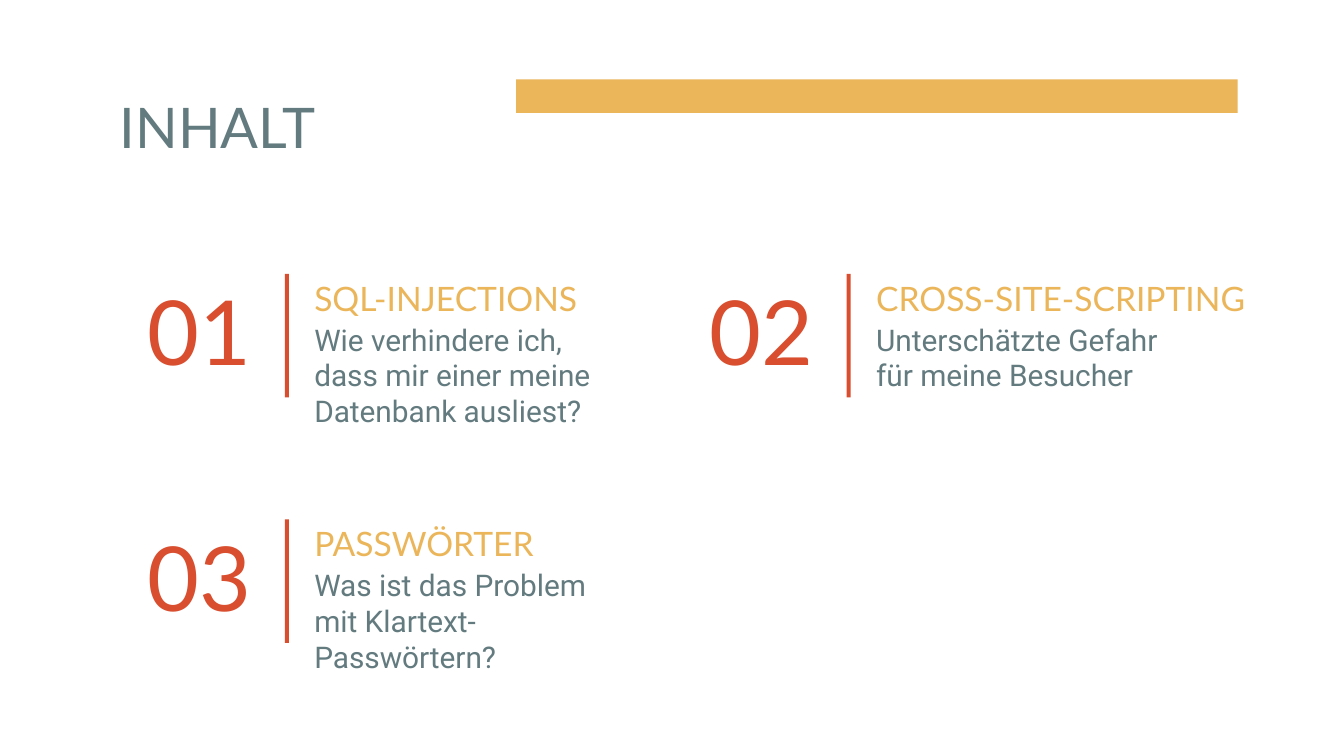
from dataclasses import dataclass

from pptx import Presentation
from pptx.dml.color import RGBColor
from pptx.enum.shapes import MSO_SHAPE
from pptx.enum.text import MSO_ANCHOR, MSO_AUTO_SIZE, PP_ALIGN
from pptx.util import Pt


@dataclass(frozen=True)
class Theme:
    slate: RGBColor = RGBColor(0x63, 0x7B, 0x7F)
    gold: RGBColor = RGBColor(0xEB, 0xB5, 0x5A)
    red: RGBColor = RGBColor(0xD8, 0x4E, 0x2E)
    display: str = "Lato"
    text: str = "Roboto"
    title_size: int = 30
    number_size: int = 48
    heading_size: int = 18
    body_size: int = 16
    inset: float = 7.2


THEME = Theme()

# Number, heading, heading width, body, grid column, grid row
TOPICS = [
    ("01", "SQL-INJECTIONS", 198.7,
     "Wie verhindere ich, dass mir einer meine Datenbank ausliest?", 0, 0),
    ("02", "CROSS-SITE-SCRIPTING", 213.1,
     "Unterschätzte Gefahr für meine Besucher", 1, 0),
    ("03", "PASSWÖRTER", 198.7,
     "Was ist das Problem mit Klartext-Passwörtern?", 0, 1),
]


def write(box, text, font, size, color, align=PP_ALIGN.LEFT,
          anchor=MSO_ANCHOR.TOP, space_after=0):
    frame = box.text_frame
    frame.word_wrap = True
    frame.auto_size = MSO_AUTO_SIZE.NONE
    frame.vertical_anchor = anchor
    frame.margin_left = frame.margin_right = Pt(THEME.inset)
    frame.margin_top = frame.margin_bottom = Pt(THEME.inset)
    para = frame.paragraphs[0]
    para.alignment = align
    para.line_spacing = 1.0
    para.space_before = Pt(0)
    para.space_after = Pt(space_after)
    span = para.add_run()
    span.text = text
    span.font.name = font
    span.font.size = Pt(size)
    span.font.color.rgb = color


def add_text(page, left, top, width, height, *style, **layout):
    box = page.shapes.add_textbox(Pt(left), Pt(top), Pt(width), Pt(height))
    write(box, *style, **layout)


def add_bar(page, left, top, width, height, color):
    bar = page.shapes.add_shape(
        MSO_SHAPE.RECTANGLE, Pt(left), Pt(top), Pt(width), Pt(height))
    bar.shadow.inherit = False
    bar.fill.solid()
    bar.fill.fore_color.rgb = color
    bar.line.fill.background()


def add_header(page, left, top):
    # Accent bar
    add_bar(page, left + 219.6, top, 386.6, 18, THEME.gold)
    # Title
    title = page.shapes.title
    title.left, title.top = Pt(left), Pt(top)
    title.width, title.height = Pt(235.4), Pt(45.4)
    write(title, "INHALT", THEME.display, THEME.title_size, THEME.slate)


def add_topic(page, left, top, number, heading, heading_width, body):
    text_left = left + 92.2
    # Number and divider
    add_text(page, left, top + 5, 72.7, 66.2, number, THEME.display,
             THEME.number_size, THEME.red, align=PP_ALIGN.RIGHT,
             anchor=MSO_ANCHOR.BOTTOM)
    add_bar(page, left + 83.5, top + 5, 2.2, 66.2, THEME.red)
    # Heading and question
    add_text(page, text_left, top, heading_width, 26.6, heading,
             THEME.display, THEME.heading_size, THEME.gold, space_after=16)
    add_text(page, text_left, top + 23.2, 180, 48.2, body,
             THEME.text, THEME.body_size, THEME.slate, space_after=16)


def main():
    deck = Presentation()
    deck.slide_width, deck.slide_height = Pt(720), Pt(405)
    page = deck.slides.add_slide(deck.slide_layouts[5])
    add_header(page, 56.9, 42.5)
    # Topics on a grid of two columns
    for number, heading, heading_width, body, column, row in TOPICS:
        add_topic(page, 69.1 + 301 * column, 141.7 + 131.5 * row,
                  number, heading, heading_width, body)
    deck.save("out.pptx")


if __name__ == "__main__":
    main()
